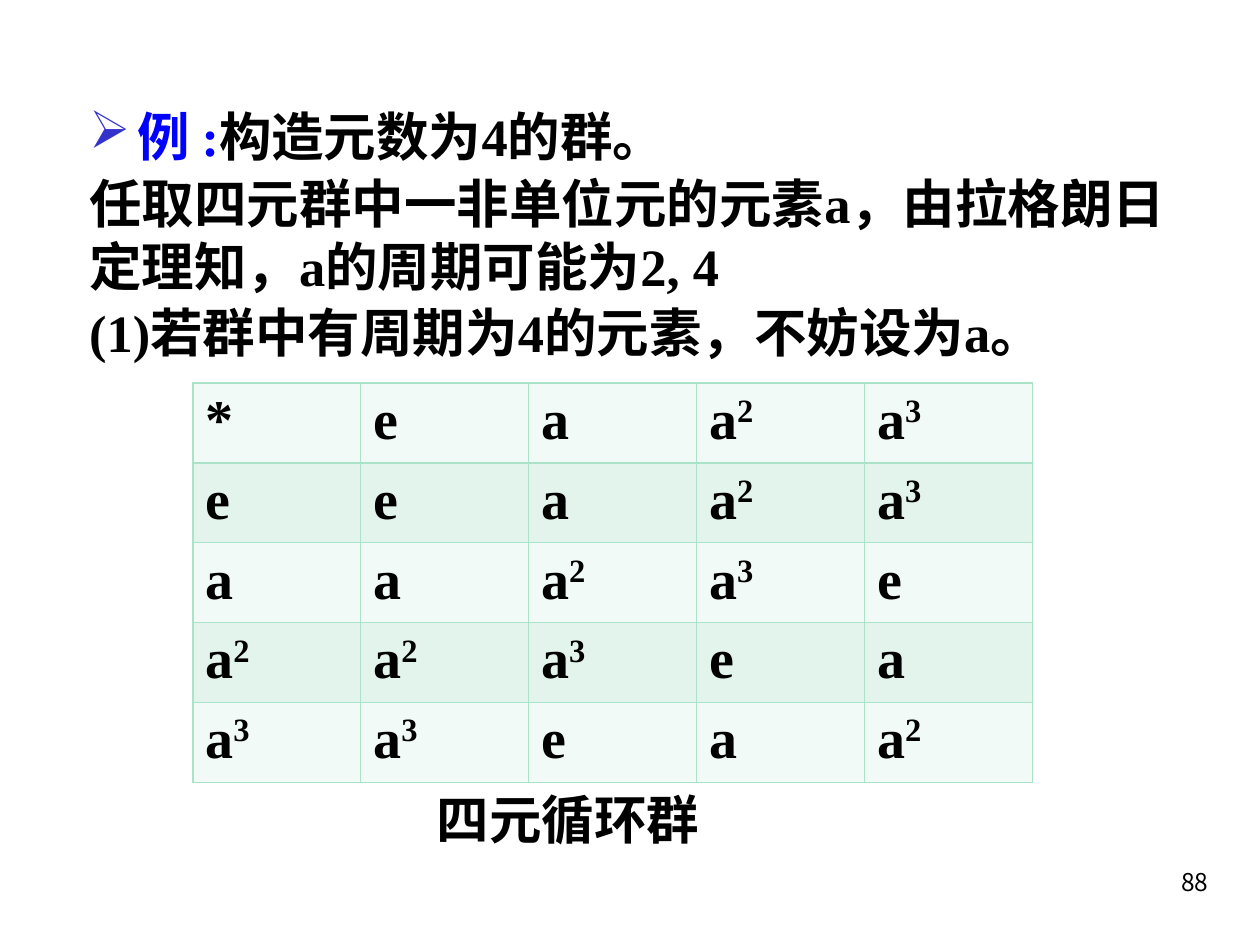
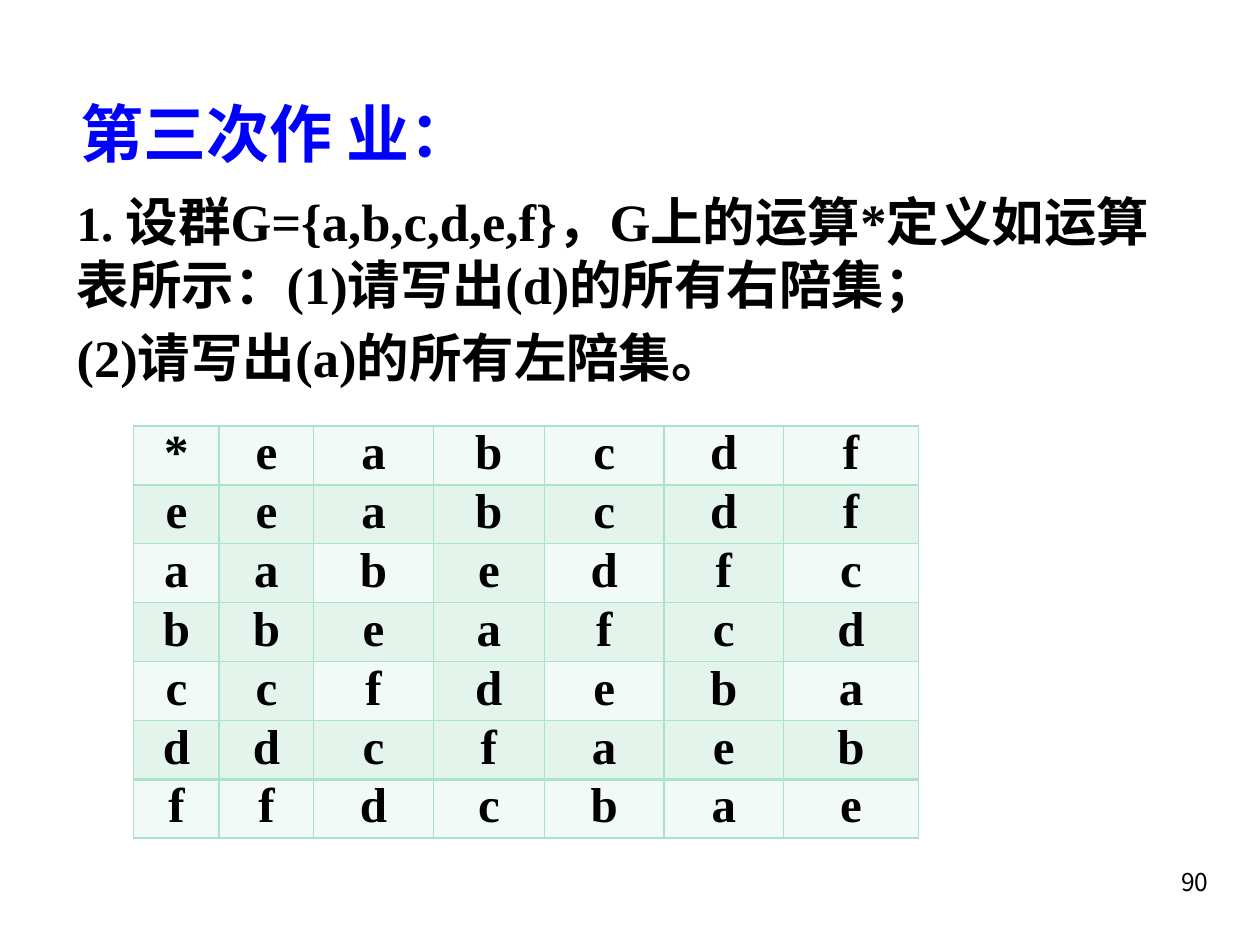
import pptx
import pptx.util
import pptx.dml.color
import pptx.enum.text
import lxml.etree

Pt = pptx.util.Pt
ALIGN = pptx.enum.text.PP_ALIGN
MID = pptx.enum.text.MSO_ANCHOR.MIDDLE
SERIF, HAN, PAGE = "Times New Roman", "Noto Sans CJK SC", "Noto Sans CJK KR"
BLACK, BLUE, MINT = "000000", "0000FF", "AAE2CA"
LIGHT, DARK = "F1FAF6", "E2F4EC"

deck = pptx.Presentation()
deck.slide_width = pptx.util.Inches(10)
deck.slide_height = pptx.util.Inches(7.5)
# Places and sizes are percent of the slide
COL, ROW = deck.slide_width / 100, deck.slide_height / 100


def color(code):
    return pptx.dml.color.RGBColor.from_string(code)


def write(para, runs, face=SERIF, bold=True):
    """Add runs given as (text, size, colour)."""
    for text, size, code in runs:
        run = para.add_run()
        run.text = text
        run.font.size, run.font.bold, run.font.name = Pt(size), bold, face
        run.font.color.rgb = color(code)
        east = HAN if face == SERIF else face
        run._r.get_or_add_rPr().append(pptx.oxml.parse_xml(
            f'<a:ea {pptx.oxml.ns.nsdecls("a")} typeface="{east}"/>'))


NS = pptx.oxml.ns.nsdecls("a")
powers = ["e", "a", "a2", "a3"]
cyclic = [["*"] + powers]
cyclic += [[powers[i]] + [powers[(i + j) % 4] for j in range(4)] for i in range(4)]
six = ["*eabcdf", "eeabcdf", "aabedfc", "bbeafcd", "ccfdeba", "ddcfaeb", "ffdcbae"]

pages = [
    dict(
        number="88",
        # place, face, space before, line height, paragraphs
        boxes=[
            ((6.1, 10.4, 90.8, 29), SERIF, 2, 36, [
                [("例 :", 30, BLUE), ("构造元数为4的群。", 30, BLACK)],
                [("任取四元群中一非单位元的元素a，由拉格朗日定理知，a的周期可能为2, 4", 30, BLACK)],
                [("(1)若群中有周期为4的元素，不妨设为a。", 30, BLACK)]]),
            ((33.7, 82.67, 25, 8), HAN, 0, 36, [[("四元循环群", 30, BLACK)]]),
        ],
        grid=cyclic, spot=(15.3, 40.53), widths=[13.33] * 5, height=7.92,
        size=32, align=ALIGN.LEFT, inset=(0.1, 0.05), checks=()),
    dict(
        number="90",
        boxes=[
            ((5.4, 9.07, 87.7, 9.87), HAN, 0, None, [[("第三次作 业：", 36, BLUE)]]),
            ((5.1, 19.3, 88.2, 25), SERIF, 6, 36, [
                [("1. ", 28, BLACK),
                 ("设群G={a,b,c,d,e,f}，G上的运算*定义如运算表所示：(1)请写出(d)的所有右陪集；", 30, BLACK)],
                [("(2)请写出(a)的所有左陪集。", 30, BLACK)]]),
        ],
        grid=six, spot=(10.6, 45.07), widths=[6.8, 7.5, 9.5, 8.8, 9.5, 9.5, 10.7],
        height=6.22, size=28, align=ALIGN.CENTER, inset=(0.07, 0), checks=(2, 4)),
]

for page in pages:
    slide = deck.slides.add_slide(deck.slide_layouts[6])
    foot = ((76.1, 91.07, 20.8, 6.67), PAGE, 0, None, [[(page["number"], 14, BLACK)]])
    for (x, y, w, h), face, gap, line, paras in page["boxes"] + [foot]:
        box = slide.shapes.add_textbox(
            round(x * COL), round(y * ROW), round(w * COL), round(h * ROW))
        frame = box.text_frame
        frame.word_wrap = True
        for n, runs in enumerate(paras):
            para = frame.add_paragraph() if n else frame.paragraphs[0]
            if n:
                para.space_before = Pt(gap)
            if line:
                para.line_spacing = Pt(line)
            if face == PAGE:
                para.alignment = ALIGN.RIGHT
            write(para, runs, face, face != PAGE)
            if runs[0][0].startswith("例"):
                props = para._p.get_or_add_pPr()
                hang = pptx.util.Inches(0.38)
                props.set("marL", str(hang))
                props.set("indent", str(-hang))
                props.append(pptx.oxml.parse_xml(
                    f'<a:buClr {NS}><a:srgbClr val="3333CC"/></a:buClr>'))
                props.append(pptx.oxml.parse_xml(f'<a:buChar {NS} char="➢"/>'))
        if runs[0][1] == 36:
            frame.vertical_anchor = MID

    grid, widths, (x, y) = page["grid"], page["widths"], page["spot"]
    table = slide.shapes.add_table(
        len(grid), len(widths), round(x * COL), round(y * ROW),
        round(sum(widths) * COL), round(len(grid) * page["height"] * ROW)).table
    table.first_row = table.horz_banding = False
    for c, width in enumerate(widths):
        table.columns[c].width = round(width * COL)
    for r, names in enumerate(grid):
        table.rows[r].height = round(page["height"] * ROW)
        for c, name in enumerate(names):
            cell = table.cell(r, c)
            side, edge = map(pptx.util.Inches, page["inset"])
            cell.margin_left = cell.margin_right = side
            cell.margin_top = cell.margin_bottom = edge
            cell.fill.solid()
            dark = r % 2 or (r in page["checks"] and c % 2)
            cell.fill.fore_color.rgb = color(DARK if dark else LIGHT)
            para = cell.text_frame.paragraphs[0]
            para.alignment = page["align"]
            write(para, [(mark, page["size"], BLACK) for mark in name])
            for power in para.runs[1:]:
                power._r.get_or_add_rPr().set("baseline", "30000")
            props = cell._tc.get_or_add_tcPr()
            for n, tag in enumerate(("lnL", "lnR", "lnT", "lnB")):
                # The last row of the six-element table has a thicker top
                thick = (tag, r) in (("lnT", 6), ("lnB", 5))
                props.insert(n, pptx.oxml.parse_xml(
                    f'<a:{tag} {NS} w="{Pt(2 if thick else 1)}"><a:solidFill>'
                    f'<a:srgbClr val="{MINT}"/></a:solidFill></a:{tag}>'))

deck.save("out.pptx")
